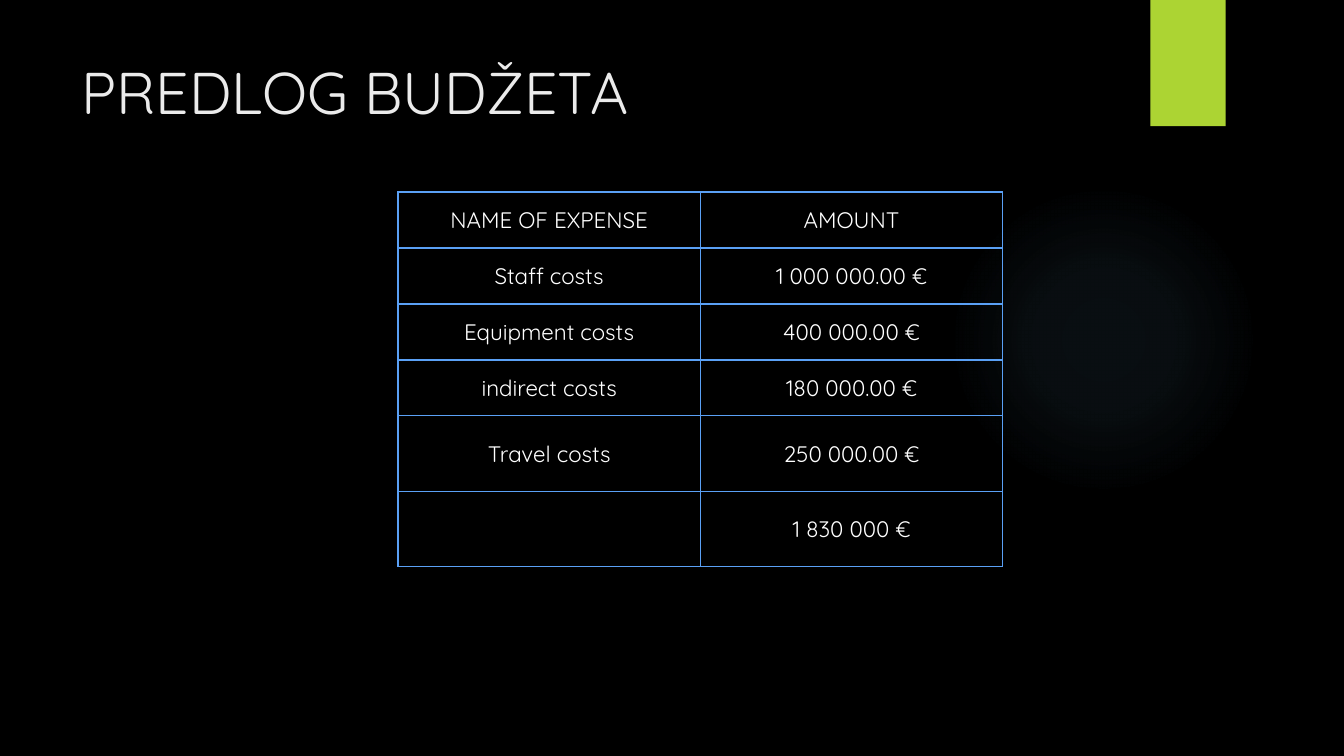
from lxml import etree
from pptx import Presentation
from pptx.dml.color import RGBColor
from pptx.enum.shapes import MSO_SHAPE
from pptx.enum.text import MSO_ANCHOR, PP_ALIGN
from pptx.oxml import parse_xml
from pptx.oxml.ns import nsdecls, qn
from pptx.util import Cm, Pt

OVAL, RECT = MSO_SHAPE.OVAL, MSO_SHAPE.RECTANGLE
LEFT, CENTER = PP_ALIGN.LEFT, PP_ALIGN.CENTER
TOP, MIDDLE = MSO_ANCHOR.TOP, MSO_ANCHOR.MIDDLE
FONT = "Quicksand"
COLORS = {
    "background": "000000",
    "glow": "7AC4F0",
    "accent": "ACD433",
    "title": "EBEBEB",
    "text": "FFFFFF",
    "border": "5AA0F5",
}
GLOW_STOPS = [(0, 7), (36, 6), (69, 0)]  # position and opacity, in percent
EXPENSES = [
    ("NAME OF EXPENSE", "AMOUNT"),
    ("Staff costs", "1 000 000.00 €"),
    ("Equipment costs", "400 000.00 €"),
    ("indirect costs", "180 000.00 €"),
    ("Travel costs", "250 000.00 €"),
    ("", "1 830 000 €"),
]
ROW_HEIGHTS = [1.41] * 4 + [1.9] * 2


def rgb(name):
    return RGBColor.from_string(COLORS[name])


def write(tf, text, size=16, color="text", align=CENTER):
    p = tf.paragraphs[0]
    p.alignment = align
    p.font.size = Pt(size)
    r = p.add_run()
    r.text = text
    r.font.size = Pt(size)
    r.font.name = FONT
    r.font.color.rgb = rgb(color)


prs = Presentation()
prs.slide_width, prs.slide_height = Cm(33.87), Cm(19.05)
slide = prs.slides.add_slide(prs.slide_layouts[6])
slide.background.fill.solid()
slide.background.fill.fore_color.rgb = rgb("background")

# Soft radial glow behind the table
glow = slide.shapes.add_shape(OVAL, Cm(23.9), Cm(4.65), Cm(7.82), Cm(7.82))
glow.shadow.inherit = False
glow.line.fill.background()
stops = "".join(
    f'<a:gs pos="{pos * 1000}"><a:srgbClr val="{COLORS["glow"]}">'
    f'<a:alpha val="{alpha * 1000}"/></a:srgbClr></a:gs>'
    for pos, alpha in GLOW_STOPS
)
glow_fill = parse_xml(
    f'<a:gradFill {nsdecls("a")}><a:gsLst>{stops}</a:gsLst><a:path path="circle">'
    '<a:fillToRect l="50000" t="50000" r="50000" b="50000"/></a:path></a:gradFill>'
)
glow.element.spPr.find(qn("a:prstGeom")).addnext(glow_fill)

# Accent tab at the top edge
tab = slide.shapes.add_shape(RECT, Cm(28.99), 0, Cm(1.9), Cm(3.18))
tab.shadow.inherit = False
tab.fill.solid()
tab.fill.fore_color.rgb = rgb("accent")
tab.line.fill.background()

title = slide.shapes.add_textbox(Cm(1.8), Cm(1.27), Cm(26.14), Cm(3.89))
title.text_frame.word_wrap = True
title.text_frame.vertical_anchor = TOP
write(title.text_frame, "PREDLOG BUDŽETA", size=42, color="title", align=LEFT)

# Budget table
table = slide.shapes.add_table(
    len(EXPENSES), 2, Cm(10.03), Cm(4.84), Cm(15.24), Cm(sum(ROW_HEIGHTS))
).table
table.first_row = table.horz_banding = False
for row, height in zip(table.rows, ROW_HEIGHTS):
    row.height = Cm(height)

for row, texts in zip(table.rows, EXPENSES):
    for cell, text in zip(row.cells, texts):
        cell.vertical_anchor = MIDDLE
        cell.margin_left = cell.margin_right = Cm(0.25)
        cell.margin_top = cell.margin_bottom = Cm(0.18)
        tcPr = cell._tc.get_or_add_tcPr()
        for side in ("lnL", "lnR", "lnT", "lnB"):
            ln = etree.SubElement(tcPr, qn(f"a:{side}"), w=str(Pt(1)))
            fill = etree.SubElement(ln, qn("a:solidFill"))
            etree.SubElement(fill, qn("a:srgbClr"), val=COLORS["border"])
        cell.fill.background()
        if text:
            write(cell.text_frame, text)

prs.save("out.pptx")
